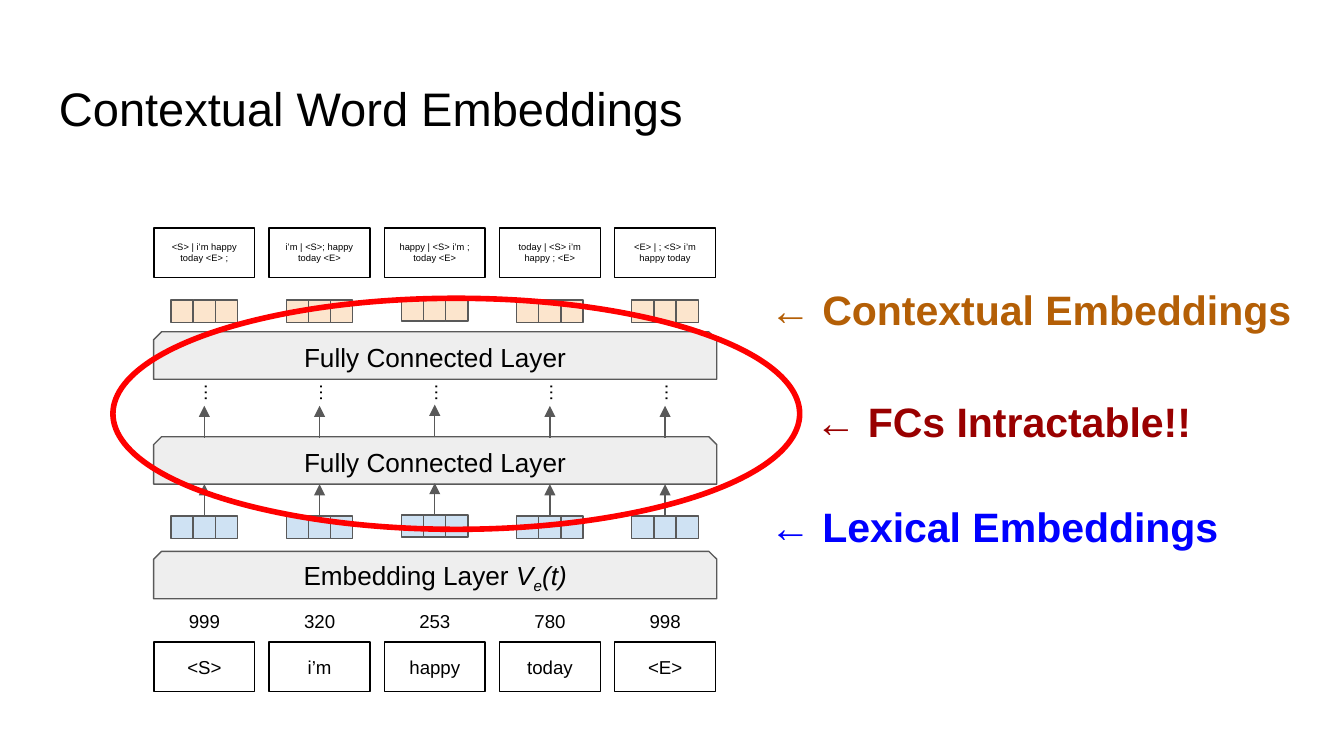
from dataclasses import dataclass
from typing import NamedTuple, Optional

from lxml.etree import SubElement
from pptx import Presentation
from pptx.dml.color import RGBColor
from pptx.enum.shapes import MSO_CONNECTOR as Conn, MSO_SHAPE as Geo
from pptx.enum.text import MSO_ANCHOR as Anchor, PP_ALIGN as Align
from pptx.oxml.ns import qn
from pptx.util import Pt


@dataclass(frozen=True)
class Theme:
    font: str = "Arial"
    text: str = "000000"
    outline: str = "595959"
    layer: str = "EEEEEE"
    lexical: str = "CFE2F3"
    contextual: str = "FCE5CD"
    ring: str = "FF0000"
    lexical_note: str = "0000FF"
    contextual_note: str = "B45F06"
    warning_note: str = "990000"
    title_size: float = 25.2
    note_size: float = 22
    layer_size: float = 14
    token_size: float = 10
    context_size: float = 5
    line: float = 0.75
    ring_line: float = 3


class Box(NamedTuple):
    x: float
    y: float
    w: float
    h: float


class Run(NamedTuple):
    text: str
    italic: Optional[bool] = None
    baseline: int = 0


class Token(NamedTuple):
    word: str
    number: str
    context: str
    lift: float = 0


class Layer(NamedTuple):
    y: float
    runs: list


class Note(NamedTuple):
    text: str
    box: Box
    color: str


T = Theme()
TOKENS = [
    Token("<S>", "999", "<S> | i’m happy today <E> ;"),
    Token("i’m", "320", "i’m | <S>; happy today <E>"),
    Token("happy", "253", "happy | <S> i’m ; today <E>", lift=0.6),
    Token("today", "780", "today | <S> i’m happy ; <E>"),
    Token("<E>", "998", "<E> | ; <S> i’m happy today"),
]
LAYERS = [
    Layer(295.4, [Run("Embedding Layer "), Run("V", True),
                  Run("e", True, -25000), Run("(t)", True)]),
    Layer(234, [Run("Fully Connected Layer")]),
    Layer(177.8, [Run("Fully Connected Layer")]),
]
NOTES = [
    Note("← Lexical Embeddings", Box(405.4, 261.4, 280.8, 41), T.lexical_note),
    Note("← Contextual Embeddings", Box(405.4, 145.4, 296, 41), T.contextual_note),
    Note("← FCs Intractable!!", Box(429.8, 205.2, 225.4, 41), T.warning_note),
]
FIRST_CENTER, PITCH = 109.5, 61.7
TOKEN_W, TOKEN_H = 54, 26.6
CELL = 11.9


def rgb(color: str) -> RGBColor:
    return RGBColor.from_string(color)


def write(s, runs: list, size: float, color: str = T.text,
          align=Align.CENTER, anchor=Anchor.TOP, bold=None) -> None:
    tf = s.text_frame
    frame = {"word_wrap": True, "vertical_anchor": anchor}
    frame.update({f"margin_{side}": Pt(7.2) for side in ("left", "top", "right", "bottom")})
    for name, value in frame.items():
        setattr(tf, name, value)
    p = tf.paragraphs[0]
    p.alignment = align
    for run in runs:
        r = p.add_run()
        r.text = run.text
        style = {"name": T.font, "size": Pt(size), "bold": bold, "italic": run.italic}
        for name, value in style.items():
            setattr(r.font, name, value)
        r.font.color.rgb = rgb(color)
        if run.baseline:
            r.font._element.set("baseline", str(run.baseline))


def add_text(shapes, box: Box, text: str, size: float, **style):
    s = shapes.add_textbox(*map(Pt, box))
    write(s, [Run(text)], size, **style)
    return s


def add_box(shapes, geo, box: Box, line: str, width: float = T.line,
            fill: Optional[str] = None):
    s = shapes.add_shape(geo, *map(Pt, box))
    s.shadow.inherit = False
    if fill:
        s.fill.solid()
        s.fill.fore_color.rgb = rgb(fill)
    else:
        s.fill.background()
    s.line.color.rgb = rgb(line)
    s.line.width = Pt(width)
    return s


def add_arrow(shapes, x: float, y: float, tip: float, start=None) -> None:
    s = shapes.add_connector(Conn.STRAIGHT, Pt(x), Pt(y), Pt(x), Pt(tip))
    if start is not None:
        s.begin_connect(start, 0)
    s.line.color.rgb = rgb(T.outline)
    s.line.width = Pt(T.line)
    SubElement(s.line._get_or_add_ln(), qn("a:tailEnd"), type="triangle")
    SubElement(s._element.spPr, qn("a:effectLst"))


def add_vector(shapes, center: float, y: float, fill: str) -> list:
    """Three adjoining cells centred on a column."""
    return [add_box(shapes, Geo.RECTANGLE,
                    Box(center + (i - 1.5) * CELL, y, CELL, CELL), T.outline, fill=fill)
            for i in range(3)]


def add_layer(shapes, layer: Layer) -> None:
    s = add_box(shapes, Geo.SNIP_2_SAME_RECTANGLE,
                Box(82.3, layer.y, 301.7, 25.4), T.outline, fill=T.layer)
    write(s, layer.runs, T.layer_size, anchor=Anchor.MIDDLE)


def add_column(shapes, token: Token, center: float) -> None:
    left = center - TOKEN_W / 2
    # Boxed words and contexts
    for text, y, size in ((token.context, 122.2, T.context_size),
                          (token.word, 344, T.token_size)):
        s = add_box(shapes, Geo.RECTANGLE, Box(left, y, TOKEN_W, TOKEN_H), T.text)
        write(s, [Run(text)], size)
    add_text(shapes, Box(left, 320.6, TOKEN_W, TOKEN_H), token.number, T.token_size)
    # Vectors and the arrows between layers
    add_vector(shapes, center, 160.8 - token.lift, T.contextual)
    cells = add_vector(shapes, center, 276.5 - token.lift, T.lexical)
    add_arrow(shapes, center, 276.5 - token.lift, 259.4 - token.lift, start=cells[1])
    add_arrow(shapes, center, 234.6 - token.lift, 217.4 - token.lift)
    # Omitted layers
    dots = add_text(shapes, Box(center - 10.7, 197.3, 27.4, TOKEN_H), "…", T.token_size)
    dots.rotation = 90


def main() -> None:
    prs = Presentation()
    prs.slide_width, prs.slide_height = Pt(720), Pt(405)
    shapes = prs.slides.add_slide(prs.slide_layouts[6]).shapes

    # Title
    add_text(shapes, Box(24.5, 35.3, 671, 45.4), "Contextual Word Embeddings",
             T.title_size, align=Align.LEFT)

    # Network
    for layer in LAYERS:
        add_layer(shapes, layer)
    for i, token in enumerate(TOKENS):
        add_column(shapes, token, FIRST_CENTER + i * PITCH)

    # Highlight and notes
    add_box(shapes, Geo.OVAL, Box(60.5, 159.8, 367.9, 123.8), T.ring, T.ring_line)
    for note in NOTES:
        add_text(shapes, note.box, note.text, T.note_size, color=note.color,
                 align=Align.LEFT, bold=True)

    prs.save("out.pptx")


if __name__ == "__main__":
    main()
